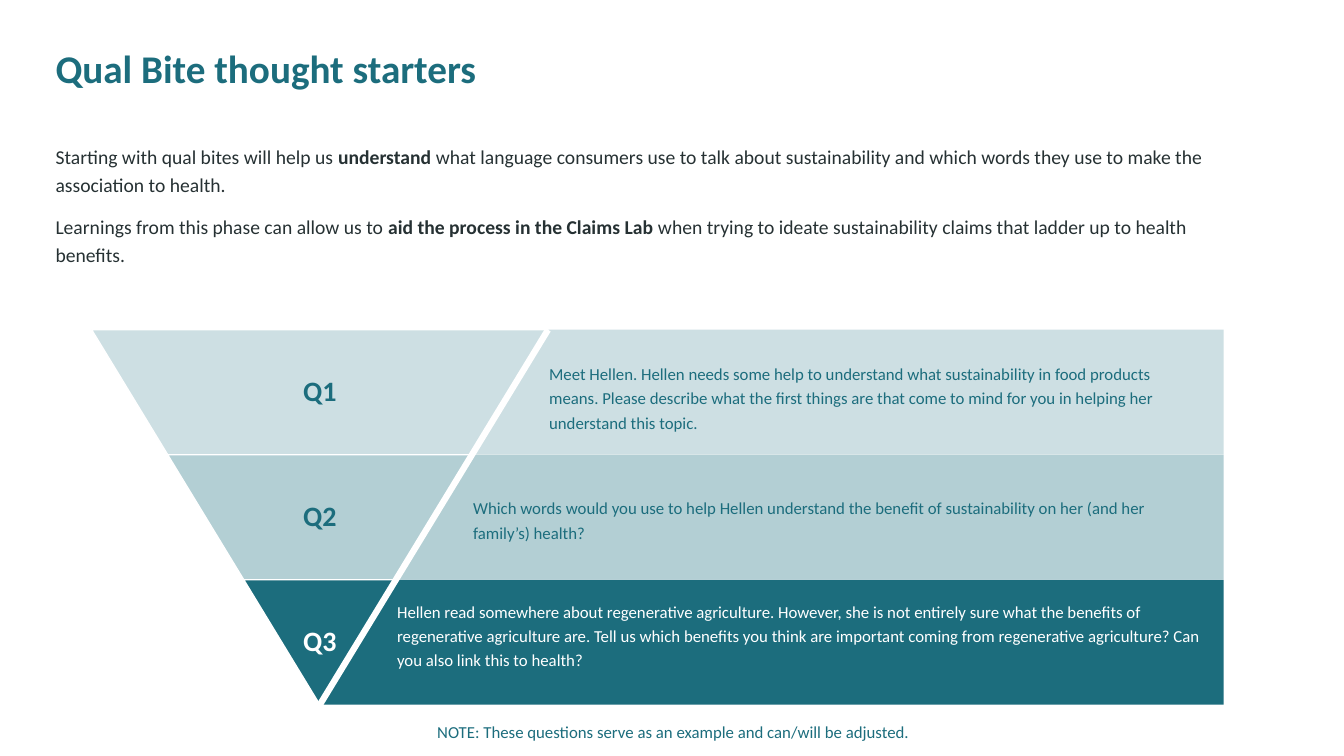
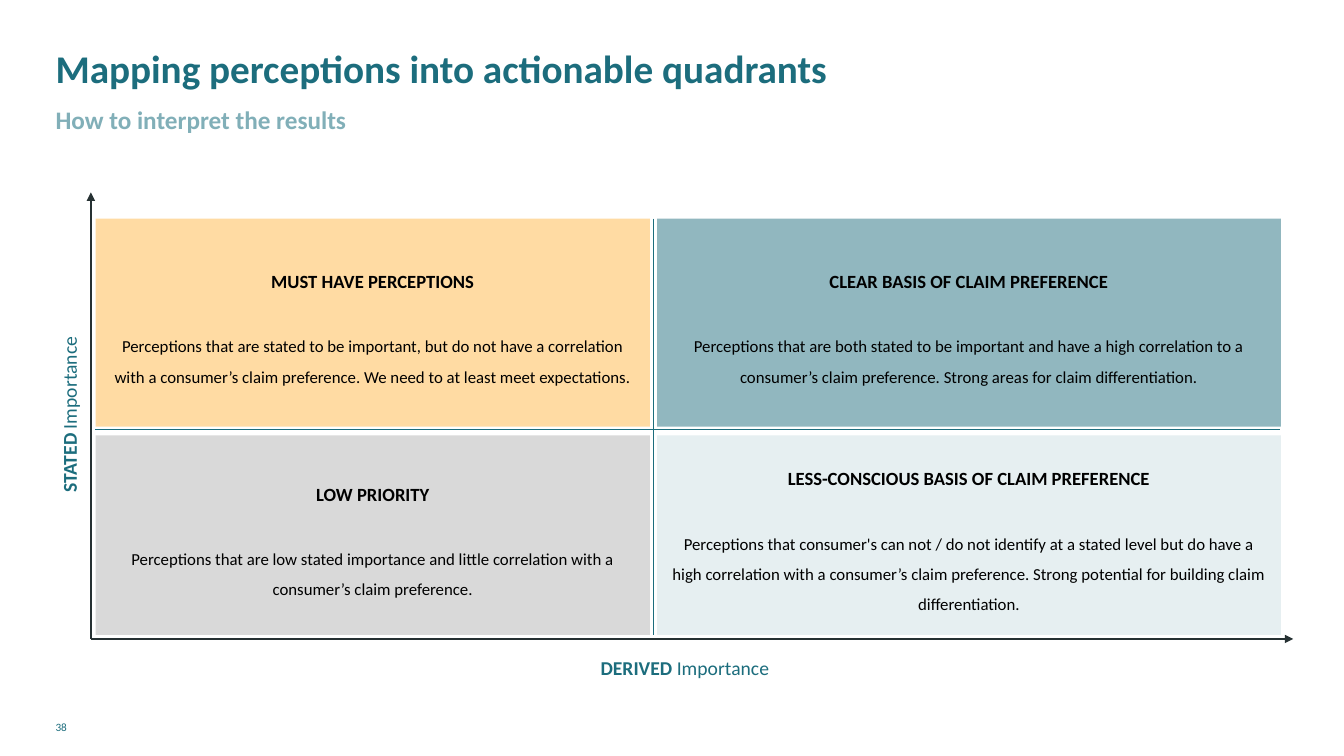
from lxml.etree import SubElement
from pptx import Presentation
from pptx.dml.color import RGBColor
from pptx.enum.shapes import MSO_CONNECTOR, MSO_SHAPE
from pptx.enum.text import MSO_ANCHOR, MSO_AUTO_SIZE, PP_ALIGN
from pptx.oxml.ns import qn
from pptx.util import Cm, Pt

FONT = "Calibri"
TEAL, MID_TEAL, PALE_TEAL = "1C6D7D", "B3CFD4", "CDDFE3"
SUBTITLE_TEAL, INK, BLACK, WHITE = "81AFB8", "263133", "000000", "FFFFFF"
MARGIN, CONTENT_WIDTH = 1.4, 30.78

# A paragraph is a list of (text, bold) runs.
INTRO = [
    [("Starting with qual bites will help us ", False),
     ("understand ", True),
     ("what language consumers use to talk about sustainability and which words "
      "they use to make the association to health.", False)],
    [("Learnings from this phase can allow us to ", False),
     ("aid the process in the Claims Lab ", True),
     ("when trying to ideate sustainability claims that ladder up to health "
      "benefits.", False)],
]
# label, fill, text colour, question, top and right edge of the question
QUESTIONS = [
    ("Q1", PALE_TEAL, TEAL,
     "Meet Hellen. Hellen needs some help to understand what sustainability in food "
     "products means. Please describe what the first things are that come to mind "
     "for you in helping her understand this topic.", 9.07, 30.02),
    ("Q2", MID_TEAL, TEAL,
     "Which words would you use to help Hellen understand the benefit of "
     "sustainability on her (and her family’s) health?", 12.45, 30.02),
    ("Q3", TEAL, WHITE,
     "Hellen read somewhere about regenerative agriculture. However, she is not "
     "entirely sure what the benefits of regenerative agriculture are. Tell us which "
     "benefits you think are important coming from regenerative agriculture? Can you "
     "also link this to health?", 15.06, 30.84),
]
NOTE = "NOTE: These questions serve as an example and can/will be adjusted."
FUNNEL_LEFT, FUNNEL_TOP, FUNNEL_WIDTH, LEVEL_HEIGHT = 2.31, 8.31, 11.5, 3.15
BAND_RIGHT = 30.84

QUADRANT_COLUMNS = [(2.41, 13.97), (16.56, 15.72)]  # left, width
QUADRANT_ROWS = [(5.51, 5.24), (10.97, 5.03)]  # top, height
QUADRANTS = [
    [("MUST HAVE PERCEPTIONS", "FFDBA3",
      "Perceptions that are stated to be important, but do not have a correlation with "
      "a consumer’s claim preference. We need to at least meet expectations."),
     ("CLEAR BASIS OF CLAIM PREFERENCE", "91B7BF",
      "Perceptions that are both stated to be important and have a high correlation to "
      "a consumer’s claim preference. Strong areas for claim differentiation.")],
    [("LOW PRIORITY", "D9D9D9",
      "Perceptions that are low stated importance and little correlation with a "
      "consumer’s claim preference."),
     ("LESS-CONSCIOUS BASIS OF CLAIM PREFERENCE", "E6EFF1",
      "Perceptions that consumer's can not / do not identify at a stated level but do "
      "have a high correlation with a consumer’s claim preference. Strong potential "
      "for building claim differentiation.")],
]
ORIGIN = (2.29, 16.1)
# start, end, colour, width, arrowhead
CHART_LINES = [
    (ORIGIN, (2.29, 4.85), INK, 1, True),
    (ORIGIN, (32.59, 16.1), INK, 1, True),
    ((16.46, 5.51), (16.46, 16), TEAL, 0.75, False),
    ((2.39, 10.82), (32.26, 10.82), TEAL, 0.75, False),
]
AXIS_LABELS = [
    ([("DERIVED", True), (" Importance", False)], (3.58, 16.23, 27.36, 0.9), 0),
    ([("STATED", True), (" Importance", False)], (-0.9, 10, 5, 0.9), 270),
]


def rgb(value):
    return RGBColor.from_string(value)


def add_runs(paragraph, runs, size, colour, align=PP_ALIGN.LEFT, spacing=1.0):
    paragraph.alignment = align
    paragraph.line_spacing = spacing
    for text, bold in runs:
        run = paragraph.add_run()
        run.text = text
        run.font.name, run.font.size, run.font.bold = FONT, Pt(size), bold
        run.font.color.rgb = rgb(colour)


def set_frame(frame, anchor=MSO_ANCHOR.TOP, inset=(0, 0)):
    frame.word_wrap = True
    frame.auto_size = MSO_AUTO_SIZE.NONE
    frame.vertical_anchor = anchor
    frame.margin_left = frame.margin_right = Cm(inset[0])
    frame.margin_top = frame.margin_bottom = Cm(inset[1])


def add_text(slide, box, paragraphs, size, colour, align=PP_ALIGN.LEFT, spacing=1.0,
             anchor=MSO_ANCHOR.TOP):
    text_box = slide.shapes.add_textbox(*map(Cm, box))
    frame = text_box.text_frame
    set_frame(frame, anchor)
    for index, runs in enumerate(paragraphs):
        paragraph = frame.add_paragraph() if index else frame.paragraphs[0]
        add_runs(paragraph, runs, size, colour, align, spacing)
        if index < len(paragraphs) - 1:
            paragraph.space_after = Pt(10)
    return text_box


def add_block(slide, kind, box, fill, line=None):
    block = slide.shapes.add_shape(kind, *map(Cm, box))
    block.shadow.inherit = False
    block.fill.solid()
    block.fill.fore_color.rgb = rgb(fill)
    if line:
        block.line.color.rgb = rgb(line)
        block.line.width = Pt(1)
    else:
        block.line.fill.background()
    return block


def add_line(slide, start, end, colour, width, arrow=False):
    connector = slide.shapes.add_connector(
        MSO_CONNECTOR.STRAIGHT, *map(Cm, (*start, *end)))
    connector.line.color.rgb = rgb(colour)
    connector.line.width = Pt(width)
    if arrow:
        SubElement(connector.line._get_or_add_ln(), qn("a:tailEnd"), type="triangle")
    SubElement(connector._element.spPr, qn("a:effectLst"))


def add_titled_slide(prs, title_text):
    slide = prs.slides.add_slide(prs.slide_layouts[5])
    title = slide.shapes.title
    title.left, title.top = Cm(MARGIN), Cm(1.12)
    title.width, title.height = Cm(CONTENT_WIDTH), Cm(1.37)
    set_frame(title.text_frame)
    add_runs(title.text_frame.paragraphs[0], [(title_text, True)], 28, TEAL)
    return slide


def build_thought_starters(prs):
    slide = add_titled_slide(prs, "Qual Bite thought starters")
    add_text(slide, (MARGIN, 3.53, 30.2, 3.2), INTRO, 14, INK, spacing=1.2)

    centre = FUNNEL_LEFT + FUNNEL_WIDTH / 2
    step = FUNNEL_WIDTH / 2 / len(QUESTIONS)  # how far each side moves in per level
    funnel_right = FUNNEL_LEFT + FUNNEL_WIDTH
    funnel_bottom = FUNNEL_TOP + LEVEL_HEIGHT * len(QUESTIONS)
    tops = [FUNNEL_TOP + LEVEL_HEIGHT * level for level in range(len(QUESTIONS))]

    for top, (_, fill, *_) in zip(tops, QUESTIONS):
        add_block(slide, MSO_SHAPE.RECTANGLE,
                  (centre, top, BAND_RIGHT - centre, LEVEL_HEIGHT), fill)
    for level, (top, (label, fill, colour, *_)) in enumerate(zip(tops, QUESTIONS)):
        width = FUNNEL_WIDTH - 2 * step * level
        box = (centre - width / 2, top, width, LEVEL_HEIGHT)
        segment = add_block(slide, MSO_SHAPE.TRAPEZOID, box, fill, WHITE)
        segment.adjustments[0] = step / min(width, LEVEL_HEIGHT)
        segment.rotation = 180
        add_text(slide, box, [[(label, True)]], 20, colour, PP_ALIGN.CENTER, 0.9,
                 MSO_ANCHOR.MIDDLE)
    add_line(slide, (funnel_right, FUNNEL_TOP), (centre, funnel_bottom), WHITE, 4.5)

    for level, (_, _, colour, question, top, right) in enumerate(QUESTIONS):
        left = funnel_right + 0.03 - step * level
        add_text(slide, (left, top, right - left, 2), [[(question, False)]], 12, colour,
                 spacing=1.2)
    add_text(slide, (11.02, 18.08, 14, 0.7), [[(NOTE, False)]], 12, TEAL, spacing=1.2)


def build_quadrants(prs):
    slide = add_titled_slide(prs, "Mapping perceptions into actionable quadrants")
    add_text(slide, (MARGIN, 2.62, CONTENT_WIDTH, 0.76),
             [[("How to interpret the results", True)]], 18, SUBTITLE_TEAL)

    for (top, height), row in zip(QUADRANT_ROWS, QUADRANTS):
        for (left, width), (heading, fill, meaning) in zip(QUADRANT_COLUMNS, row):
            quadrant = add_block(slide, MSO_SHAPE.RECTANGLE,
                                 (left, top, width, height), fill)
            frame = quadrant.text_frame
            set_frame(frame, MSO_ANCHOR.MIDDLE, (0.33, 0.18))
            add_runs(frame.paragraphs[0], [(heading, True)], 13.3, BLACK,
                     PP_ALIGN.CENTER, 1.5)
            description = frame.add_paragraph()
            description.space_before = Pt(24)
            add_runs(description, [(meaning, False)], 12, BLACK, PP_ALIGN.CENTER, 1.5)

    for chart_line in CHART_LINES:
        add_line(slide, *chart_line)
    for runs, box, rotation in AXIS_LABELS:
        label = add_text(slide, box, [runs], 14, TEAL, PP_ALIGN.CENTER, 1.5)
        label.rotation = rotation
    add_text(slide, (MARGIN, 17.73, 7.62, 1.02), [[("38", False)]], 8, TEAL,
             spacing=1.5, anchor=MSO_ANCHOR.MIDDLE)


def main():
    prs = Presentation()
    prs.slide_width, prs.slide_height = Cm(33.87), Cm(19.05)
    build_thought_starters(prs)
    build_quadrants(prs)
    prs.save("out.pptx")


if __name__ == "__main__":
    main()
